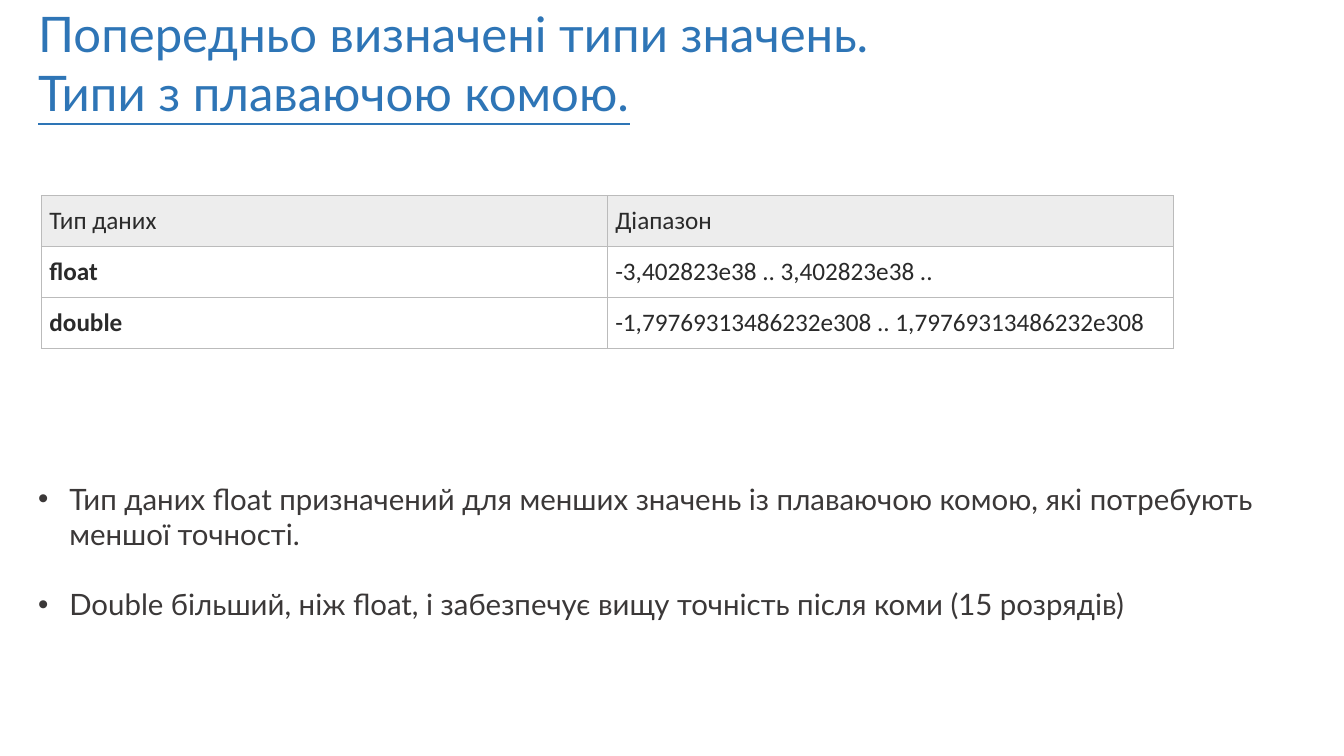
"""Build a slide about the floating-point types: a title, a table of ranges and two notes."""
from dataclasses import dataclass

from lxml.etree import SubElement
from pptx import Presentation
from pptx.dml.color import RGBColor as Color
from pptx.enum.text import MSO_ANCHOR as Anchor
from pptx.oxml.ns import qn
from pptx.slide import Slide
from pptx.table import _Cell as Cell
from pptx.text.text import _Paragraph as Paragraph
from pptx.util import Emu, Inches, Pt

WIDTH, HEIGHT = Inches(13.33), Inches(7.5)
COLORS = {"title": "2E75B6", "note": "3B3838", "cell": "2A2A2A", "header": "EDEDED", "border": "BBBBBB"}


@dataclass(frozen=True)
class Box:
    """A place given in percent of the slide's width and height."""

    left: float
    top: float
    width: float
    height: float

    def place(self) -> tuple[Emu, Emu, Emu, Emu]:
        return (
            Emu(int(WIDTH * self.left / 100)),
            Emu(int(HEIGHT * self.top / 100)),
            Emu(int(WIDTH * self.width / 100)),
            Emu(int(HEIGHT * self.height / 100)),
        )


@dataclass(frozen=True)
class Style:
    font: str
    size: float
    color: str


@dataclass(frozen=True)
class Line:
    text: str
    underline: bool = False
    bullet: bool = False
    space_before: float = 0


@dataclass(frozen=True)
class TextBlock:
    box: Box
    style: Style
    lines: tuple[Line, ...]


TITLE = TextBlock(
    Box(2.1, -0.13, 77.2, 17.07),
    Style("Lato", 35, "title"),
    (
        Line("Попередньо визначені типи значень."),
        Line("Типи з плаваючою комою.", underline=True),
    ),
)
NOTES = TextBlock(
    Box(2.1, 62.93, 94.3, 20.13),
    Style("Lato", 21, "note"),
    (
        Line(
            "Тип даних float призначений для менших значень із плаваючою комою, які потребують меншої точності.",
            bullet=True,
        ),
        Line(
            "Double більший, ніж float, і забезпечує вищу точність після коми (15 розрядів)",
            bullet=True,
            space_before=25.2,
        ),
    ),
)
TABLE_BOX = Box(3.08, 25.87, 84.2, 20.2)
CELL_STYLE = Style("Calibri", 18, "cell")
TABLE_ROWS = (
    ("Тип даних", "Діапазон"),
    ("float", "-3,402823e38 .. 3,402823e38 .."),
    ("double", "-1,79769313486232e308 .. 1,79769313486232e308"),
)


def add_run(paragraph: Paragraph, text: str, style: Style, bold: bool = False, underline: bool = False) -> None:
    run = paragraph.add_run()
    run.text = text
    run.font.name = style.font
    run.font.size = Pt(style.size)
    run.font.color.rgb = Color.from_string(COLORS[style.color])
    run.font.bold = bold
    run.font.underline = underline


def add_bullet(paragraph: Paragraph) -> None:
    properties = paragraph._p.get_or_add_pPr()
    indent = Inches(0.31)
    properties.set("marL", str(indent))
    properties.set("indent", str(-indent))
    SubElement(properties, qn("a:buFont"), typeface="Arial")
    SubElement(properties, qn("a:buChar"), char="•")


def add_text_block(slide: Slide, block: TextBlock) -> None:
    frame = slide.shapes.add_textbox(*block.box.place()).text_frame
    frame.word_wrap = True
    for index, line in enumerate(block.lines):
        paragraph = frame.add_paragraph() if index else frame.paragraphs[0]
        paragraph.space_before = Pt(line.space_before)
        if line.bullet:
            add_bullet(paragraph)
        add_run(paragraph, line.text, block.style, underline=line.underline)


def add_borders(cell: Cell) -> None:
    properties = cell._tc.get_or_add_tcPr()
    for side in ("lnL", "lnR", "lnT", "lnB"):
        border = SubElement(properties, qn(f"a:{side}"), w=str(Pt(0.75)))
        fill = SubElement(border, qn("a:solidFill"))
        SubElement(fill, qn("a:srgbClr"), val=COLORS["border"])


def fill_cell(cell: Cell, text: str, header: bool, bold: bool) -> None:
    cell.margin_left = cell.margin_right = Inches(0.08)
    cell.margin_top = cell.margin_bottom = Inches(0.1)
    cell.vertical_anchor = Anchor.MIDDLE if header else Anchor.TOP
    add_borders(cell)
    if header:
        cell.fill.solid()
        cell.fill.fore_color.rgb = Color.from_string(COLORS["header"])
    else:
        cell.fill.background()
    add_run(cell.text_frame.paragraphs[0], text, CELL_STYLE, bold=bold)


def add_range_table(slide: Slide) -> None:
    table = slide.shapes.add_table(len(TABLE_ROWS), len(TABLE_ROWS[0]), *TABLE_BOX.place()).table
    table.first_row = False
    table.horz_banding = False
    for row, texts in enumerate(TABLE_ROWS):
        for column, text in enumerate(texts):
            header = row == 0
            fill_cell(table.cell(row, column), text, header, bold=column == 0 and not header)


def main() -> None:
    presentation = Presentation()
    presentation.slide_width, presentation.slide_height = WIDTH, HEIGHT
    slide = presentation.slides.add_slide(presentation.slide_layouts[6])
    add_text_block(slide, TITLE)
    add_range_table(slide)
    add_text_block(slide, NOTES)
    presentation.save("out.pptx")


if __name__ == "__main__":
    main()
